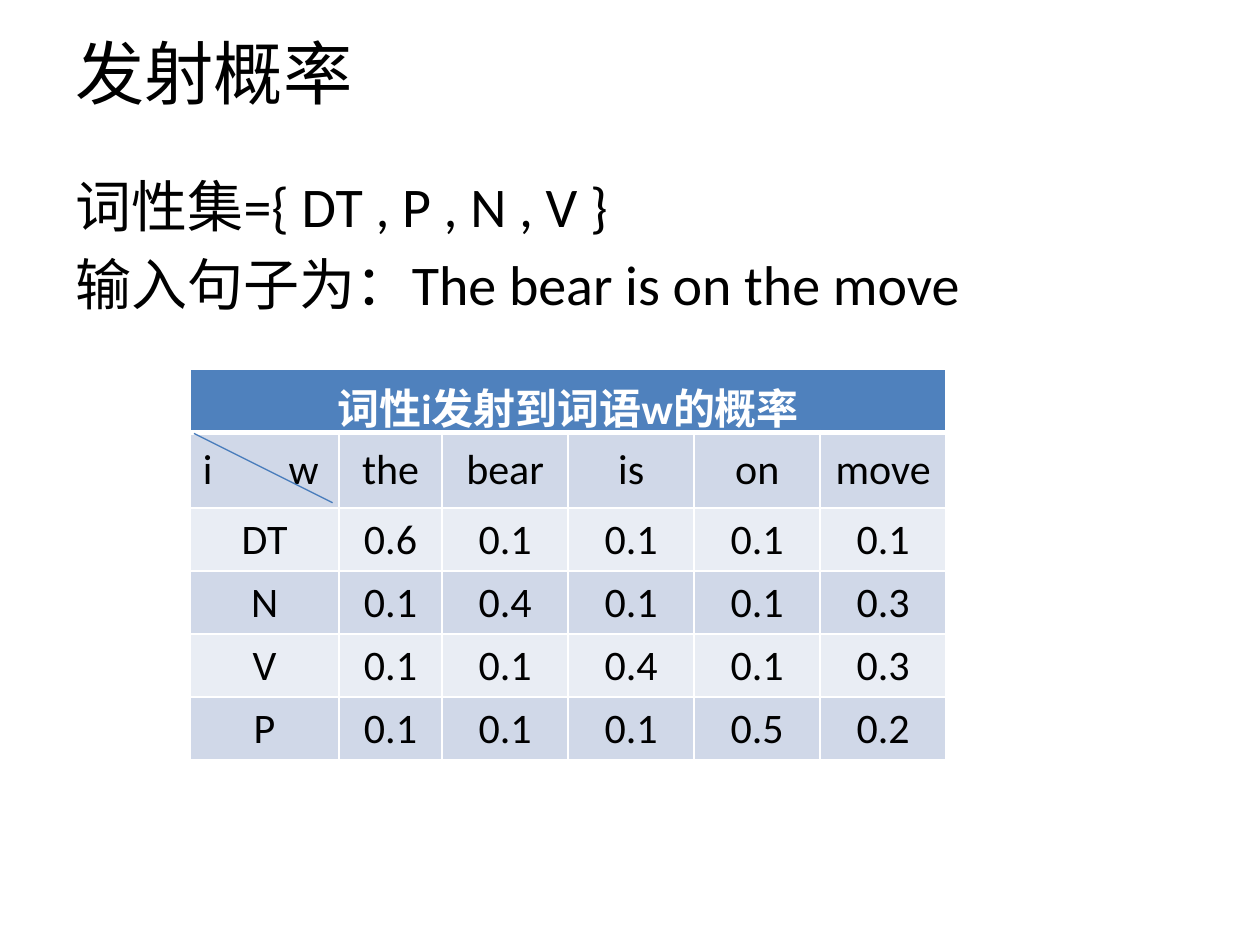
import pptx
import pptx.dml.color
import pptx.enum.shapes
import pptx.enum.text
import pptx.oxml
import pptx.oxml.ns
import pptx.util
import lxml.etree

WIDTH, HEIGHT = 10, 7.5
MARGIN = 0.05 * WIDTH
FONT = "Calibri"
HEADING = "词性i发射到词语w的概率"
WORDS = ["the", "bear", "is", "on", "move"]
EMISSIONS = {
    "DT": [0.6, 0.1, 0.1, 0.1, 0.1],
    "N": [0.1, 0.4, 0.1, 0.1, 0.3],
    "V": [0.1, 0.1, 0.4, 0.1, 0.3],
    "P": [0.1, 0.1, 0.1, 0.5, 0.2],
}
COLUMNS = [1.18, 0.82] + [1] * 4
ROWS = [0.46, 0.6] + [0.47] * len(EMISSIONS)
TABLE_LEFT, TABLE_TOP = 1.51, 2.93

inches = pptx.util.Inches
middle = pptx.enum.text.MSO_ANCHOR.MIDDLE
align = pptx.enum.text.PP_ALIGN


def color(value):
    return pptx.dml.color.RGBColor.from_string(value)


def write(paragraph, words, size, ink="000000", bold=False):
    run = paragraph.add_run()
    run.text = words
    run.font.name = FONT
    run.font.size = pptx.util.Pt(size)
    run.font.bold = bold
    run.font.color.rgb = color(ink)


def add_text(slide, top, height, lines, size, anchor, before=0):
    frame = slide.shapes.add_textbox(
        inches(MARGIN), inches(top), inches(WIDTH - 2 * MARGIN), inches(height)
    ).text_frame
    frame.word_wrap = True
    frame.vertical_anchor = anchor
    for index, line in enumerate(lines):
        paragraph = frame.add_paragraph() if index else frame.paragraphs[0]
        paragraph.space_before = pptx.util.Pt(before)
        write(paragraph, line, size)


def set_borders(cell, bottom):
    properties = cell._tc.get_or_add_tcPr()
    for index, side in enumerate("LRTB"):
        width = pptx.util.Pt(bottom if side == "B" else 1)
        border = pptx.oxml.parse_xml(
            f'<a:ln{side} {pptx.oxml.ns.nsdecls("a")} w="{width}"><a:solidFill>'
            f'<a:srgbClr val="FFFFFF"/></a:solidFill></a:ln{side}>'
        )
        properties.insert(index, border)


def fill_cell(cell, words, background, ink="000000", bold=False, bottom=1):
    cell.fill.solid()
    cell.fill.fore_color.rgb = color(background)
    cell.vertical_anchor = middle
    set_borders(cell, bottom)
    paragraph = cell.text_frame.paragraphs[0]
    paragraph.alignment = align.CENTER
    if words:
        write(paragraph, words, 24, ink, bold)


def add_corner_tab(cell, position):
    paragraph = cell.text_frame.paragraphs[0]
    paragraph.alignment = align.LEFT
    properties = paragraph._p.get_or_add_pPr()
    stops = lxml.etree.SubElement(properties, pptx.oxml.ns.qn("a:tabLst"))
    stop = lxml.etree.SubElement(stops, pptx.oxml.ns.qn("a:tab"))
    stop.set("pos", str(inches(position)))
    stop.set("algn", "l")


def add_emission_table(slide):
    table = slide.shapes.add_table(
        len(ROWS), len(COLUMNS), inches(TABLE_LEFT), inches(TABLE_TOP),
        inches(sum(COLUMNS)), inches(sum(ROWS)),
    ).table
    for column, width in zip(table.columns, COLUMNS):
        column.width = inches(width)
    for row, height in zip(table.rows, ROWS):
        row.height = inches(height)
    for index in range(len(COLUMNS)):
        fill_cell(table.cell(0, index), "" if index else HEADING,
                  "4F81BD", "FFFFFF", True, 3)
    table.cell(0, 0).merge(table.cell(0, len(COLUMNS) - 1))
    body = [["i\tw"] + WORDS]
    body += [[tag] + [str(value) for value in values] for tag, values in EMISSIONS.items()]
    for r, entries in enumerate(body, 1):
        for c, words in enumerate(entries):
            fill_cell(table.cell(r, c), words, "D0D8E8" if r % 2 else "E9EDF4")
    add_corner_tab(table.cell(1, 0), 0.68)


def add_diagonal(slide, start, end):
    diagonal = slide.shapes.add_connector(
        pptx.enum.shapes.MSO_CONNECTOR.STRAIGHT, *map(inches, start + end)
    )
    diagonal.line.color.rgb = color("4B7EBC")
    diagonal.line.width = pptx.util.Pt(0.75)
    lxml.etree.SubElement(diagonal._element.spPr, pptx.oxml.ns.qn("a:effectLst"))


def main():
    deck = pptx.Presentation()
    deck.slide_width, deck.slide_height = inches(WIDTH), inches(HEIGHT)
    slide = deck.slides.add_slide(deck.slide_layouts[6])
    add_text(slide, 0.04 * HEIGHT, 0.54, ["发射概率"], 39.6, middle)
    statements = ["词性集={ DT , P , N , V }", "输入句子为：The bear is on the move"]
    add_text(slide, 1.31, 5.39, statements, 32, pptx.enum.text.MSO_ANCHOR.TOP, 6.4)
    add_emission_table(slide)
    add_diagonal(slide, (1.54, 3.44), (2.64, 3.99))
    deck.save("out.pptx")


main()
